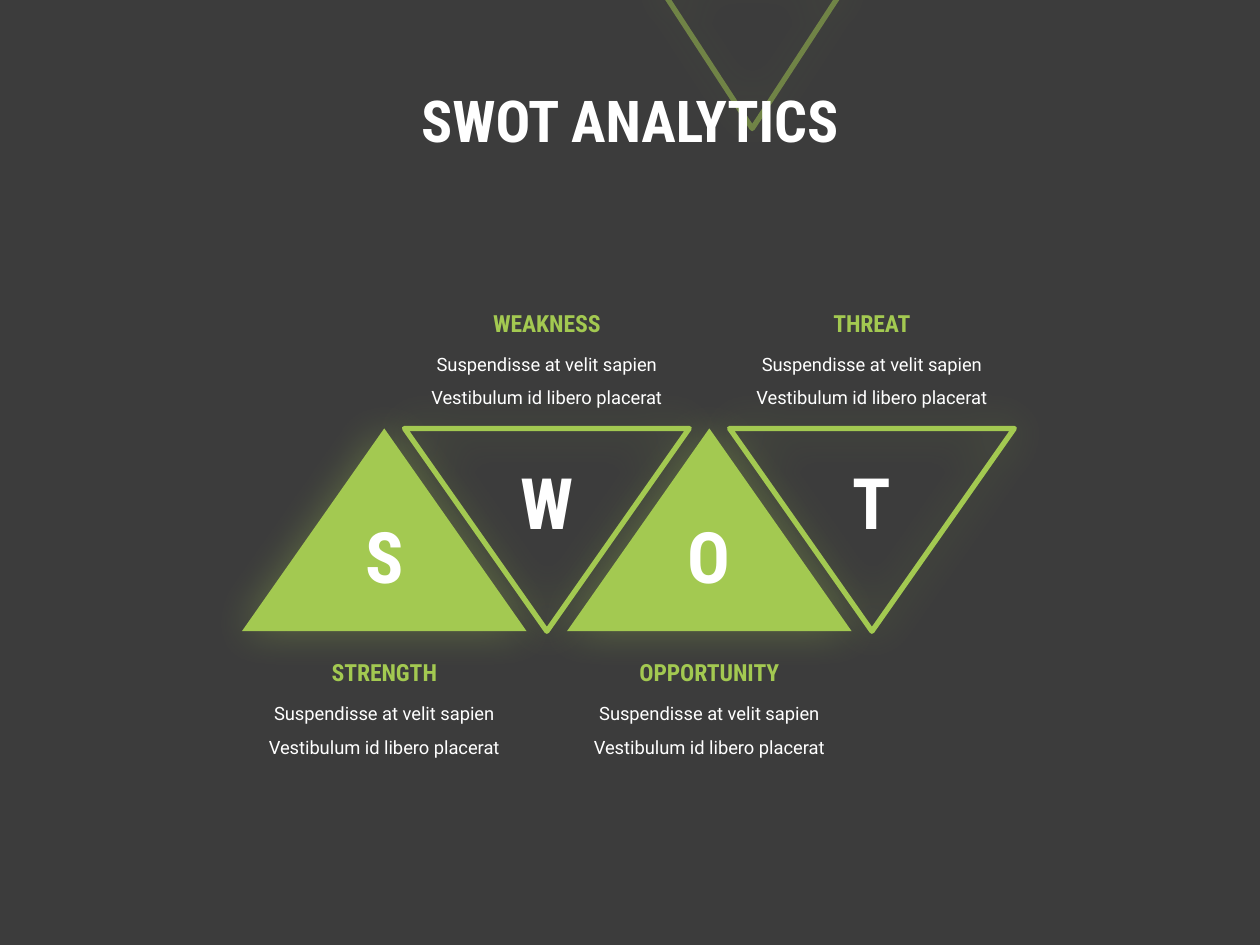
from lxml import etree
from pptx import Presentation
from pptx.dml.color import RGBColor
from pptx.enum.shapes import MSO_SHAPE
from pptx.enum.text import MSO_ANCHOR, MSO_AUTO_SIZE, PP_ALIGN
from pptx.oxml.ns import qn
from pptx.util import Inches, Pt

TRIANGLE = MSO_SHAPE.ISOSCELES_TRIANGLE
CENTER = PP_ALIGN.CENTER
MIDDLE, TOP = MSO_ANCHOR.MIDDLE, MSO_ANCHOR.TOP
FIT_SHAPE, NO_FIT = MSO_AUTO_SIZE.SHAPE_TO_FIT_TEXT, MSO_AUTO_SIZE.NONE

GREEN = RGBColor(0xA3, 0xC9, 0x51)
WHITE = RGBColor(0xFF, 0xFF, 0xFF)
CHARCOAL = RGBColor(0x3C, 0x3C, 0x3C)
HEADING_FONT, BODY_FONT = "Roboto Condensed", "Roboto"

# The grid has 100 columns and 75 rows on a 10 by 7.5 inch page.
COLUMNS, ROWS = 100, 75
FIRST_CENTER, STEP = 30.5, 12.9
DETAIL = "Suspendisse at velit sapien Vestibulum id libero placerat"
TOPICS = ["STRENGTH", "WEAKNESS", "OPPORTUNITY", "THREAT"]


class SlideBuilder:
    """Draws styled elements centred on a column, with tops given in rows."""

    def __init__(self, deck):
        self.column = deck.slide_width / COLUMNS
        self.row = deck.slide_height / ROWS
        self.page = deck.slides.add_slide(deck.slide_layouts[6])
        self.page.background.fill.solid()
        self.page.background.fill.fore_color.rgb = CHARCOAL

    def frame(self, center, top, width, height):
        return (round((center - width / 2) * self.column), round(top * self.row),
                round(width * self.column), round(height * self.row))

    def triangle(self, center, top, width, height, outlined, opacity=100):
        """Add a solid upright triangle, or an outlined inverted one."""
        shape = self.page.shapes.add_shape(
            TRIANGLE, *self.frame(center, top, width, height))
        if outlined:
            shape.rotation = 180
            shape.fill.background()
            shape.line.width = Pt(3)
            shape.line.color.rgb = GREEN
            if opacity < 100:
                color = shape.line._get_or_add_ln().find(".//" + qn("a:srgbClr"))
                self.set_alpha(color, opacity)
        else:
            shape.fill.solid()
            shape.fill.fore_color.rgb = GREEN
            shape.line.fill.background()
        self.glow(shape)

    def glow(self, shape):
        """Give the shape a soft green shadow with no offset."""
        shape.shadow.inherit = False
        effects = shape.element.spPr.find(qn("a:effectLst"))
        shadow = etree.SubElement(
            effects, qn("a:outerShdw"), blurRad=str(Pt(25)), dist="0", dir="0",
            algn="ctr", rotWithShape="0")
        color = etree.SubElement(shadow, qn("a:srgbClr"), val=str(GREEN))
        self.set_alpha(color, 35)

    @staticmethod
    def set_alpha(color, percent):
        etree.SubElement(color, qn("a:alpha"), val=str(percent * 1000))

    def text(self, words, center, top, width, height, size, color=WHITE,
             font=HEADING_FONT, bold=True, spacing=1.0, anchor=TOP, fit=FIT_SHAPE):
        box = self.page.shapes.add_textbox(*self.frame(center, top, width, height))
        text_frame = box.text_frame
        text_frame.word_wrap = True
        text_frame.auto_size = fit
        text_frame.vertical_anchor = anchor
        para = text_frame.paragraphs[0]
        para.text = words
        para.alignment = CENTER
        para.line_spacing = spacing
        para.font.name = font
        para.font.size = Pt(size)
        para.font.bold = bold
        para.font.color.rgb = color


def main():
    deck = Presentation()
    deck.slide_width, deck.slide_height = Inches(10), Inches(7.5)
    slide = SlideBuilder(deck)

    slide.triangle(59.7, -1.6, 15.4, 11.8, outlined=True, opacity=50)
    slide.text("SWOT ANALYTICS", 50, 4.9, 51, 9.8, 33,
               spacing=0.9, anchor=MIDDLE, fit=NO_FIT)

    centers = [FIRST_CENTER + STEP * index for index in range(len(TOPICS))]
    for index, center in enumerate(centers):
        slide.triangle(center, 34, 22.6, 16.1, outlined=index % 2 == 1)

    for index, (topic, center) in enumerate(zip(TOPICS, centers)):
        inverted = index % 2 == 1
        letter_top, heading_top = (35.9, 24) if inverted else (40.2, 51.7)
        slide.text(topic[0], center, letter_top, 7.6, 7.8, 40.5)
        slide.text(DETAIL, center, heading_top + 2.7, 22.3, 6, 10.5,
                   font=BODY_FONT, bold=False, spacing=1.5)
        slide.text(topic, center, heading_top, 18.4, 3.3, 13.5, color=GREEN)

    deck.save("out.pptx")


if __name__ == "__main__":
    main()
